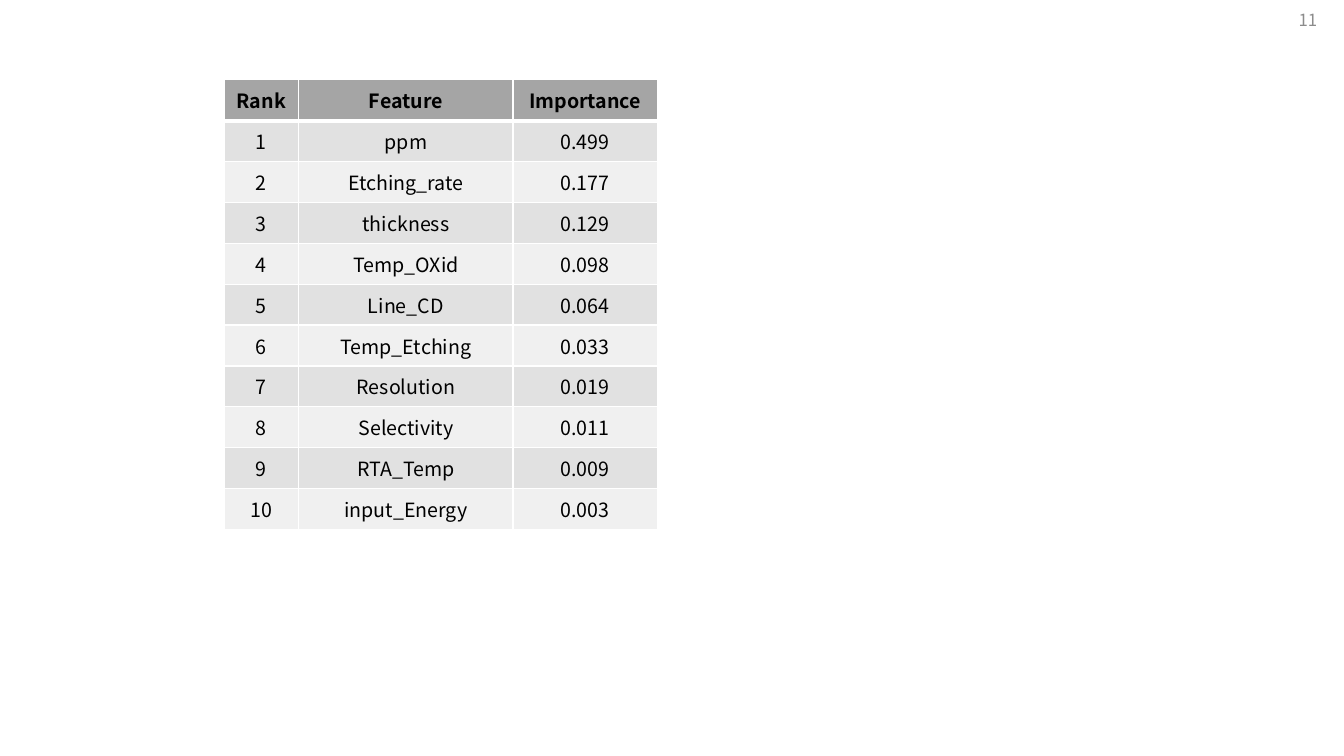
from lxml.etree import SubElement
from pptx import Presentation
from pptx.dml.color import RGBColor
from pptx.enum.text import MSO_ANCHOR, PP_ALIGN
from pptx.oxml.ns import qn
from pptx.util import Pt

FONT = "Noto Sans CJK KR"
HEAD = ("Rank", "Feature", "Importance")
RANKS = [
    ("ppm", "0.499"),
    ("Etching_rate", "0.177"),
    ("thickness", "0.129"),
    ("Temp_OXid", "0.098"),
    ("Line_CD", "0.064"),
    ("Temp_Etching", "0.033"),
    ("Resolution", "0.019"),
    ("Selectivity", "0.011"),
    ("RTA_Temp", "0.009"),
    ("input_Energy", "0.003"),
]
WIDTHS = (53.5, 153, 103)
HEIGHT = 29.2


def color(code):
    """Turn a hex string into a colour."""
    return RGBColor.from_string(code)


def write(frame, text, size, code, align, bold=False):
    """Put one formatted paragraph in a text frame."""
    para = frame.paragraphs[0]
    para.text = text
    para.alignment = align
    font = para.font
    font.name, font.size, font.bold = FONT, Pt(size), bold
    font.color.rgb = color(code)


def edge(cell, side, width):
    """Draw a white border on one side of a cell."""
    line = SubElement(cell._tc.get_or_add_tcPr(), qn(f"a:ln{side}"), w=str(Pt(width)))
    fill = SubElement(line, qn("a:solidFill"))
    SubElement(fill, qn("a:srgbClr"), val="FFFFFF")


def style(cell, text, row):
    """Fill, border and label a cell according to its row."""
    head = row == 0
    for side in "LRTB":
        thick = (side == "B" and head) or (side == "T" and row == 1)
        edge(cell, side, 3 if thick else 1)
    cell.fill.solid()
    cell.fill.fore_color.rgb = color("A5A5A5" if head else ("F0F0F0", "E1E1E1")[row % 2])
    cell.vertical_anchor = MSO_ANCHOR.MIDDLE
    write(cell.text_frame, text, 14, "000000", PP_ALIGN.CENTER, head)


def add_ranks(slide):
    """Add the table of ranked features."""
    rows = [HEAD] + [(str(rank), *item) for rank, item in enumerate(RANKS, 1)]
    table = slide.shapes.add_table(
        len(rows), len(HEAD), Pt(160), Pt(57), Pt(sum(WIDTHS)), Pt(HEIGHT * len(rows))
    ).table
    for col, width in zip(table.columns, WIDTHS):
        col.width = Pt(width)
    for row, texts in enumerate(rows):
        table.rows[row].height = Pt(HEIGHT)
        for col, text in enumerate(texts):
            style(table.cell(row, col), text, row)


def add_page(slide, number):
    """Add the page number in the top right corner."""
    frame = slide.shapes.add_textbox(Pt(732), Pt(0), Pt(216), Pt(28.8)).text_frame
    frame.word_wrap = True
    frame.vertical_anchor = MSO_ANCHOR.MIDDLE
    write(frame, number, 12, "8C8C8C", PP_ALIGN.RIGHT)


def main():
    """Build and save the slide."""
    deck = Presentation()
    deck.slide_width, deck.slide_height = Pt(960), Pt(540)
    slide = deck.slides.add_slide(deck.slide_layouts[6])
    add_page(slide, "11")
    add_ranks(slide)
    deck.save("out.pptx")


if __name__ == "__main__":
    main()
